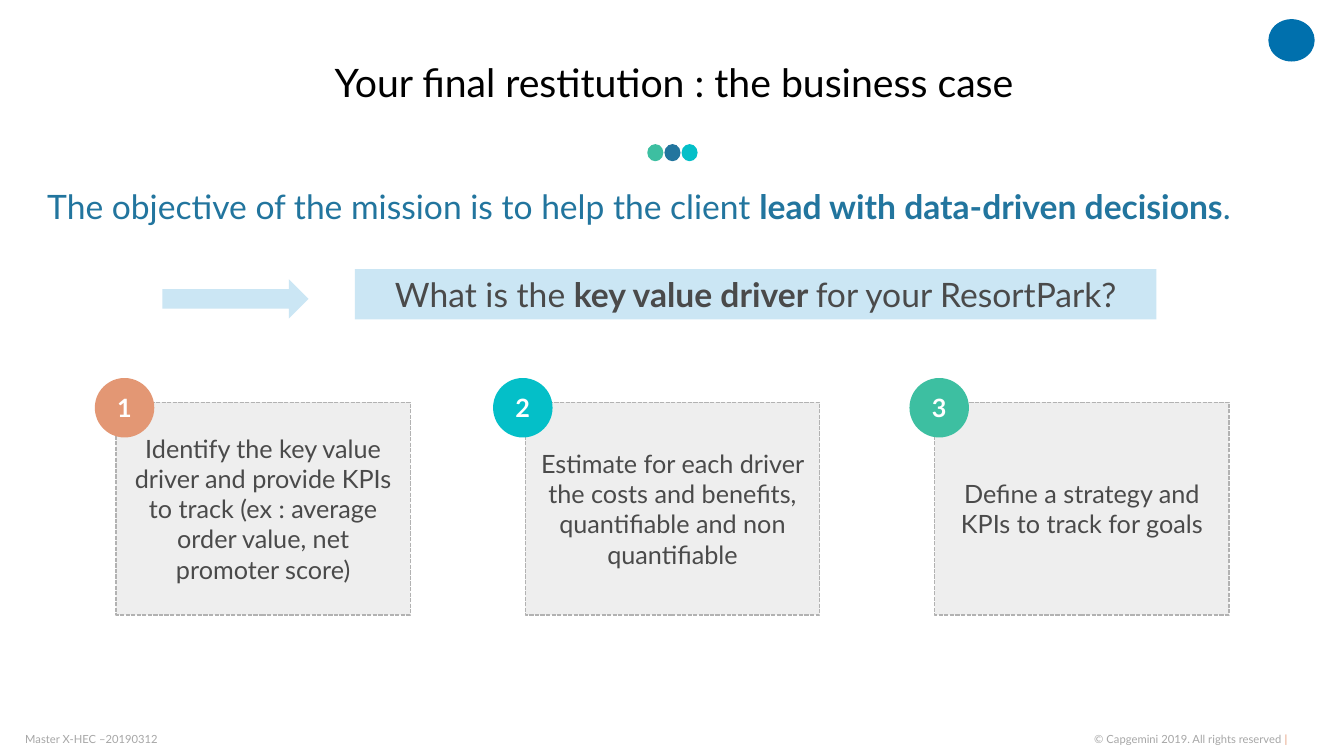
from dataclasses import dataclass

import pptx
import pptx.dml.color
import pptx.enum.dml
import pptx.enum.shapes
import pptx.enum.text
import pptx.shapes.autoshape
import pptx.slide
import pptx.text.text
import pptx.util

SHAPES = pptx.enum.shapes.MSO_SHAPE
ALIGN = pptx.enum.text.PP_ALIGN
ANCHOR = pptx.enum.text.MSO_ANCHOR

EMU_PER_PX = 9144  # 100 px to the inch
FONT = "Lato"
BLUE, TEAL, GREEN, ORANGE = "22759E", "04BFC8", "3DBFA1", "E39774"
PALE_BLUE, LIGHT_GREY, BORDER_GREY = "CBE6F4", "EEEEEE", "B2B2B2"
TEXT_GREY, FOOTER_GREY, WHITE, BLACK = "4A4A4A", "A6A6A6", "FFFFFF", "000000"
LOGO_BLUE = "0070AD"


@dataclass(frozen=True)
class Box:
    left: int
    top: int
    width: int
    height: int


@dataclass(frozen=True)
class Run:
    text: str
    color: str
    size: int
    bold: bool = False


@dataclass(frozen=True)
class Step:
    text: str
    badge_left: int
    badge_color: str


STEPS = [
    Step("Identify the key value driver and provide KPIs to track "
         "(ex : average order value, net promoter score)", 94, ORANGE),
    Step("Estimate for each driver the costs and benefits, "
         "quantifiable and non quantifiable", 489, TEAL),
    Step("Define a strategy and KPIs to track for goals", 902, GREEN),
]


def px(length: int) -> pptx.util.Emu:
    return pptx.util.Emu(length * EMU_PER_PX)


def rgb(color: str) -> pptx.dml.color.RGBColor:
    return pptx.dml.color.RGBColor.from_string(color)


def edges(box: Box) -> tuple[pptx.util.Emu, ...]:
    return px(box.left), px(box.top), px(box.width), px(box.height)


def write(frame: pptx.text.text.TextFrame, runs: list[Run],
          alignment: ALIGN = ALIGN.CENTER, anchor: ANCHOR = ANCHOR.MIDDLE,
          line_spacing: float = 1.0, margin: int | None = None) -> None:
    """Fill a text frame with one paragraph of formatted runs."""
    frame_format = {
        "word_wrap": True,
        "auto_size": pptx.enum.text.MSO_AUTO_SIZE.NONE,
        "vertical_anchor": anchor,
    }
    if margin is not None:
        for side in ("left", "top", "right", "bottom"):
            frame_format[f"margin_{side}"] = px(margin)
    for name, value in frame_format.items():
        setattr(frame, name, value)
    paragraph = frame.paragraphs[0]
    paragraph.alignment = alignment
    paragraph.line_spacing = line_spacing
    for run in runs:
        text_run = paragraph.add_run()
        text_run.text = run.text
        font_format = {"name": FONT, "size": pptx.util.Pt(run.size), "bold": run.bold}
        for name, value in font_format.items():
            setattr(text_run.font, name, value)
        text_run.font.color.rgb = rgb(run.color)


def add_text(slide: pptx.slide.Slide, box: Box, runs: list[Run],
             alignment: ALIGN, anchor: ANCHOR = ANCHOR.MIDDLE,
             margin: int | None = None) -> None:
    shape = slide.shapes.add_textbox(*edges(box))
    write(shape.text_frame, runs, alignment, anchor, margin=margin)


def add_filled(slide: pptx.slide.Slide, kind: SHAPES, box: Box,
               color: str) -> pptx.shapes.autoshape.Shape:
    shape = slide.shapes.add_shape(kind, *edges(box))
    shape.shadow.inherit = False
    shape.fill.solid()
    shape.fill.fore_color.rgb = rgb(color)
    shape.line.fill.background()
    return shape


def add_card(slide: pptx.slide.Slide, box: Box, text: str) -> None:
    card = add_filled(slide, SHAPES.RECTANGLE, box, LIGHT_GREY)
    card.line.color.rgb = rgb(BORDER_GREY)
    card.line.width = pptx.util.Pt(1)
    card.line.dash_style = pptx.enum.dml.MSO_LINE.SQUARE_DOT
    write(card.text_frame, [Run(text, TEXT_GREY, 18)])


def add_header(slide: pptx.slide.Slide) -> None:
    title = slide.shapes.title
    title_box = Box(45, 27, 1247, 114)
    for name, value in zip(("left", "top", "width", "height"), edges(title_box)):
        setattr(title, name, value)
    write(title.text_frame,
          [Run("Your final restitution : the business case", BLACK, 28)],
          line_spacing=0.9)
    add_filled(slide, SHAPES.OVAL, Box(1258, 19, 46, 42), LOGO_BLUE)
    for index, color in enumerate((GREEN, BLUE, TEAL)):
        add_filled(slide, SHAPES.OVAL, Box(642 + 17 * index, 143, 16, 17), color)


def add_footer(slide: pptx.slide.Slide) -> None:
    add_text(slide, Box(986, 727, 291, 13),
             [Run("© Capgemini 2019. All rights reserved ", FOOTER_GREY, 8),
              Run("|", ORANGE, 8)], ALIGN.RIGHT, margin=0)
    add_text(slide, Box(25, 727, 516, 13),
             [Run("Master X-HEC –20190312", FOOTER_GREY, 8)], ALIGN.LEFT, margin=0)


def add_question(slide: pptx.slide.Slide) -> None:
    banner = add_filled(slide, SHAPES.RECTANGLE, Box(352, 267, 795, 50), PALE_BLUE)
    write(banner.text_frame,
          [Run("What is the ", TEXT_GREY, 24),
           Run("key value driver ", TEXT_GREY, 24, True),
           Run("for your ResortPark?", TEXT_GREY, 24)], anchor=ANCHOR.TOP)
    add_text(slide, Box(37, 180, 1272, 50),
             [Run("The objective of the mission is to help the client ", BLUE, 24),
              Run("lead with data-driven decisions", BLUE, 24, True),
              Run(".", BLUE, 24)], ALIGN.JUSTIFY, ANCHOR.TOP)
    add_filled(slide, SHAPES.RIGHT_ARROW, Box(161, 277, 145, 39), PALE_BLUE)


def add_steps(slide: pptx.slide.Slide) -> None:
    for index, step in enumerate(STEPS):
        add_card(slide, Box(115 + 406 * index, 399, 292, 211), step.text)
        badge = add_filled(slide, SHAPES.OVAL, Box(step.badge_left, 375, 59, 59),
                           step.badge_color)
        write(badge.text_frame, [Run(str(index + 1), WHITE, 18, True)])


def main() -> None:
    presentation = pptx.Presentation()
    presentation.slide_width = px(1333)
    presentation.slide_height = px(750)
    title_only = presentation.slide_layouts.get_by_name("Title Only")
    slide = presentation.slides.add_slide(title_only)
    add_header(slide)
    add_footer(slide)
    add_question(slide)
    add_steps(slide)
    presentation.save("out.pptx")


if __name__ == "__main__":
    main()
